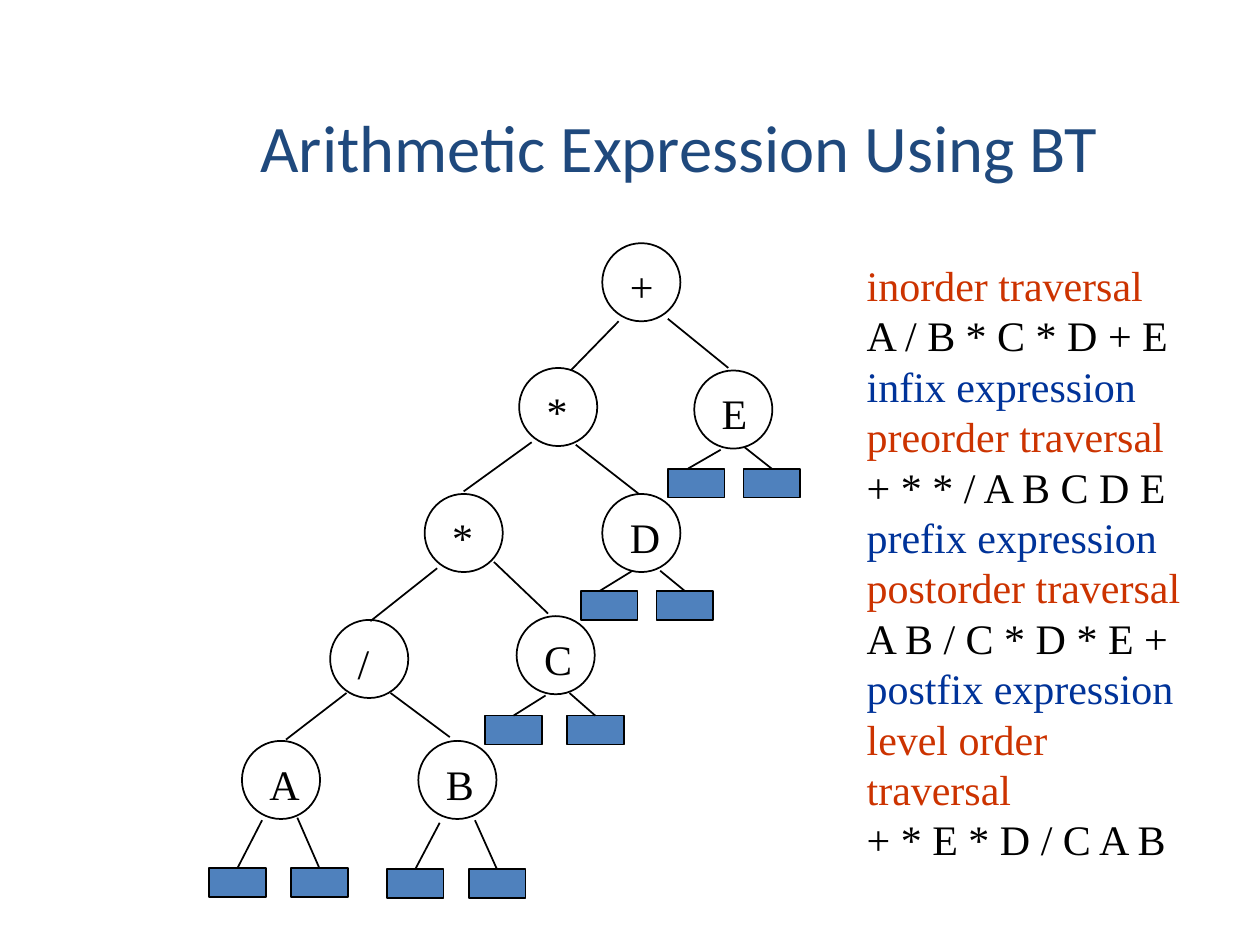
from lxml import etree
from pptx import Presentation
from pptx.dml.color import RGBColor
from pptx.enum.shapes import MSO_CONNECTOR as Connector, MSO_SHAPE as Shape
from pptx.enum.text import MSO_ANCHOR as Anchor, MSO_AUTO_SIZE as AutoSize, PP_ALIGN as Align
from pptx.oxml.ns import qn
from pptx.util import Inches, Pt

COLORS = {"title": "1F497D", "black": "000000", "leaf": "4F81BD", "red": "CC3300", "blue": "003399"}
COLORS = {name: RGBColor.from_string(value) for name, value in COLORS.items()}
SERIF = "Times New Roman"
NODE_SIZE = 0.62
LEAF_WIDTH, LEAF_HEIGHT = 0.45, 0.23


def style_text(para, text, font, size, color):
    para.text = text
    para.font.name = font
    para.font.size = Pt(size)
    para.font.color.rgb = COLORS[color]


def add_edge(page, x1, y1, x2, y2):
    edge = page.shapes.add_connector(Connector.STRAIGHT, Inches(x1), Inches(y1), Inches(x2), Inches(y2))
    edge.line.color.rgb = COLORS["black"]
    edge.line.width = Pt(1)
    etree.SubElement(edge.element.spPr, qn("a:effectLst"))
    return edge


deck = Presentation()
deck.slide_width, deck.slide_height = Inches(10), Inches(7.5)
page = deck.slides.add_slide(deck.slide_layouts[6])

title = page.shapes.add_textbox(Inches(0.38), Inches(0.53), Inches(10.02), Inches(1.25))
title.text_frame.word_wrap = True
title.text_frame.vertical_anchor = Anchor.MIDDLE
style_text(title.text_frame.paragraphs[0], "Arithmetic Expression Using BT", "Calibri", 38, "title")
title.text_frame.paragraphs[0].alignment = Align.CENTER

nodes = [
    ("+", 4.78, 1.93, 0.39),
    ("*", 4.12, 2.92, 0.37),
    ("E", 5.51, 2.94, 0.40),
    ("*", 3.37, 3.92, 0.37),
    ("D", 4.78, 3.92, 0.44),
    ("/", 2.62, 4.92, 0.29),
    ("C", 4.10, 4.89, 0.42),
    ("A", 1.92, 5.88, 0.44),
    ("B", 3.32, 5.88, 0.42),
]
for symbol, left, top, label_width in nodes:
    group = page.shapes.add_group_shape()
    circle = group.shapes.add_shape(
        Shape.OVAL, Inches(left), Inches(top), Inches(NODE_SIZE), Inches(NODE_SIZE))
    circle.shadow.inherit = False
    circle.fill.background()
    circle.line.color.rgb = COLORS["black"]
    circle.line.width = Pt(1)
    label = group.shapes.add_textbox(
        Inches(left + 0.12), Inches(top + 0.09), Inches(label_width), Inches(0.5))
    label.text_frame.word_wrap = False
    label.text_frame.auto_size = AutoSize.SHAPE_TO_FIT_TEXT
    style_text(label.text_frame.paragraphs[0], symbol, SERIF, 24, "black")

branches = [
    (4.91, 2.55, 4.53, 2.94),
    (5.30, 2.53, 5.78, 2.92),
    (4.22, 3.51, 3.68, 3.90),
    (4.57, 3.53, 5.07, 3.92),
    (3.47, 4.51, 2.94, 4.93),
    (3.92, 4.46, 4.35, 4.87),
    (2.75, 5.50, 2.27, 5.87),
    (3.10, 5.50, 3.57, 5.85),
]
for branch in branches:
    add_edge(page, *branch)

leaves = [
    (1.66, 6.89, 2.08, 6.51, 1.88),
    (2.31, 6.89, 2.36, 6.49, 2.54),
    (3.07, 6.90, 3.49, 6.53, 3.29),
    (3.72, 6.90, 3.77, 6.51, 3.96),
    (3.85, 5.68, 4.33, 5.52, 4.07),
    (4.50, 5.68, 4.52, 5.50, 4.74),
    (4.61, 4.69, 5.02, 4.53, 4.76),
    (5.21, 4.69, 5.24, 4.53, 5.46),
    (5.30, 3.72, 5.72, 3.57, 5.46),
    (5.90, 3.72, 5.91, 3.55, 6.13),
]
for left, top, start_x, start_y, end_x in leaves:
    leaf = page.shapes.add_shape(
        Shape.RECTANGLE, Inches(left), Inches(top), Inches(LEAF_WIDTH), Inches(LEAF_HEIGHT))
    leaf.shadow.inherit = False
    leaf.fill.solid()
    leaf.fill.fore_color.rgb = COLORS["leaf"]
    leaf.line.color.rgb = COLORS["black"]
    leaf.line.width = Pt(1)
    edge = add_edge(page, start_x, start_y, end_x, top)
    if abs(end_x - left - LEAF_WIDTH / 2) < 0.03:
        edge.end_connect(leaf, 0)

traversals = [
    ("inorder traversal", "red"),
    ("A / B * C * D + E", "black"),
    ("infix expression", "blue"),
    ("preorder traversal", "red"),
    ("+ * * / A B C D E", "black"),
    ("prefix expression", "blue"),
    ("postorder traversal", "red"),
    ("A B / C * D * E +", "black"),
    ("postfix expression", "blue"),
    ("level order traversal", "red"),
    ("+ * E * D / C A B", "black"),
]
box = page.shapes.add_textbox(Inches(6.78), Inches(2.01), Inches(2.8), Inches(4.49))
box.text_frame.word_wrap = True
for index, (text, color) in enumerate(traversals):
    para = box.text_frame.add_paragraph() if index else box.text_frame.paragraphs[0]
    style_text(para, text, SERIF, 24, color)

deck.save("out.pptx")
